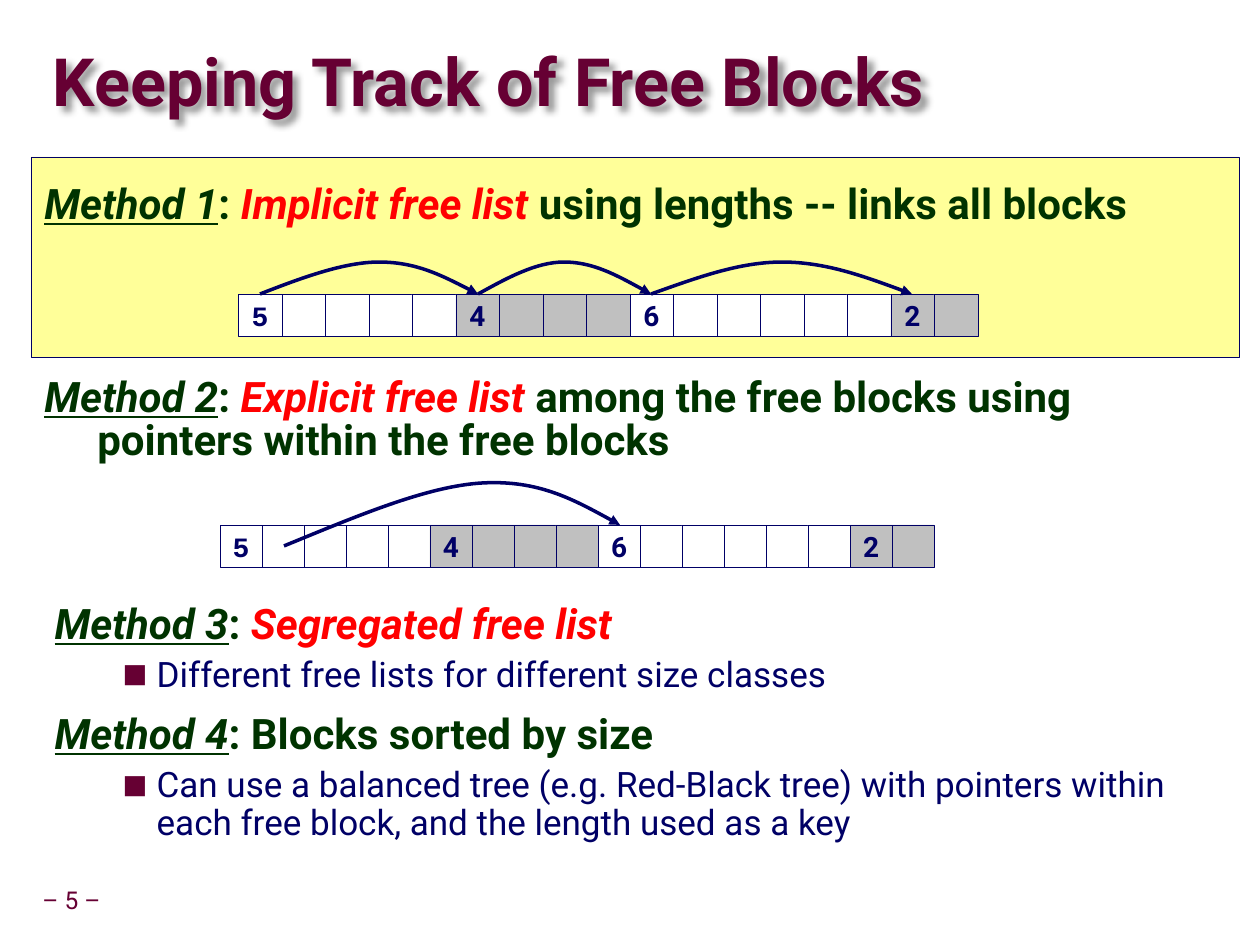
import pptx
import pptx.dml.color
import pptx.enum.dml
import pptx.enum.shapes
import pptx.enum.text
import pptx.oxml
import pptx.oxml.ns
import pptx.util

RGBColor = pptx.dml.color.RGBColor
MAROON = RGBColor(0x66, 0x00, 0x33)
NAVY = RGBColor(0x00, 0x00, 0x66)
GREEN = RGBColor(0x00, 0x33, 0x00)
RED = RGBColor(0xFF, 0x00, 0x00)
YELLOW = RGBColor(0xFF, 0xFF, 0x99)
GRAY = RGBColor(0xC0, 0xC0, 0xC0)
WHITE = RGBColor(0xFF, 0xFF, 0xFF)

PX = 914400 / 126
ALIGN = pptx.enum.text.PP_ALIGN
ANCHOR = pptx.enum.text.MSO_ANCHOR
AUTO_SIZE = pptx.enum.text.MSO_AUTO_SIZE
qn = pptx.oxml.ns.qn

# Run formats
HEADING = {"size": 24, "bold": True, "italic": False, "underline": False, "color": GREEN}
METHOD = HEADING | {"italic": True, "underline": True}
KEY = HEADING | {"italic": True, "color": RED}
DETAIL = {"size": 20, "bold": False, "color": NAVY}
TITLE = {"size": 38, "bold": True, "color": MAROON}
NUMBER = {"size": 14, "color": MAROON}
LABEL = {"size": 16, "bold": True, "color": NAVY}

# Paragraph formats
TOP_LEVEL = {"line_spacing": 0.85, "alignment": ALIGN.LEFT}
SUB_LEVEL = {"line_spacing": 0.9, "alignment": ALIGN.LEFT, "level": 1}
BULLET = ('<a:buClr><a:srgbClr val="660033"/></a:buClr>', '<a:buSzPct val="75000"/>',
          '<a:buFont typeface="Roboto"/>', '<a:buChar char="■"/>')
NO_BULLET = ("<a:buNone/>",)

# Memory blocks: label, cells, fill, font of the label
BLOCKS = [("5", 5, WHITE, "Courier New"), ("4", 4, GRAY, "Roboto"),
          ("6", 6, WHITE, "Roboto"), ("2", 2, GRAY, "Roboto")]


def element(xml):
    namespace = 'xmlns:a="http://schemas.openxmlformats.org/drawingml/2006/main"'
    end = xml.index(">")
    end -= xml[end - 1] == "/"
    return pptx.oxml.parse_xml(f"{xml[:end]} {namespace}{xml[end:]}")


def set_values(target, values):
    for name, value in values.items():
        setattr(target, name, value)


class SlideBuilder:
    def __init__(self, slide):
        self.slide = slide
        self.font = "Roboto"
        self.line_color = NAVY

    def emu(self, *lengths):
        return [round(length * PX) for length in lengths]

    def place(self, shape, box):
        set_values(shape, dict(zip(("left", "top", "width", "height"), self.emu(*box))))

    def frame(self, shape, anchor, wrap=True, inset=None):
        frame = shape.text_frame
        set_values(frame, {"word_wrap": wrap, "auto_size": AUTO_SIZE.NONE,
                           "vertical_anchor": anchor})
        if inset is not None:
            for side in ("left", "top", "right", "bottom"):
                setattr(frame, f"margin_{side}", self.emu(inset)[0])
        return frame

    def add_runs(self, paragraph, runs, values, before=0, font=None):
        set_values(paragraph, values | {"space_before": pptx.util.Pt(before)})
        for text, style in runs:
            run = paragraph.add_run()
            run.text = text
            style = dict(style)
            run.font.color.rgb = style.pop("color")
            style["size"] = pptx.util.Pt(style["size"])
            set_values(run.font, style | {"name": font or self.font})

    def indent(self, paragraph, margin, hanging, bullet):
        properties = paragraph._p.get_or_add_pPr()
        left, first = self.emu(margin, -hanging)
        properties.set("marL", str(left))
        properties.set("indent", str(first))
        for xml in bullet:
            properties.append(element(xml))

    def title(self, box, text):
        shape = self.slide.shapes.title
        self.place(shape, box)
        frame = self.frame(shape, ANCHOR.MIDDLE, inset=0)
        self.add_runs(frame.paragraphs[0], [(text, TITLE)],
                      {"line_spacing": 0.87, "alignment": ALIGN.LEFT})
        shape._element.spPr.append(element(
            '<a:effectLst><a:outerShdw blurRad="50800" dist="50800" dir="2700000">'
            '<a:srgbClr val="000000"><a:alpha val="40000"/></a:srgbClr>'
            '</a:outerShdw></a:effectLst>'))

    def heading(self, paragraph, runs, before=0):
        self.indent(paragraph, 53, 53, NO_BULLET)
        self.add_runs(paragraph, runs, TOP_LEVEL, before)

    def method(self, box, runs):
        shape = self.slide.shapes.add_textbox(*self.emu(*box))
        self.heading(self.frame(shape, ANCHOR.TOP).paragraphs[0], runs)

    def body(self, box, items):
        shape = self.slide.placeholders[1]
        self.place(shape, box)
        frame = self.frame(shape, ANCHOR.TOP)
        for index, (runs, detail) in enumerate(items):
            paragraph = frame.add_paragraph() if index else frame.paragraphs[0]
            self.heading(paragraph, runs, 12 if index else 0)
            paragraph = frame.add_paragraph()
            self.indent(paragraph, 102, 34, BULLET)
            self.add_runs(paragraph, [(detail, DETAIL)], SUB_LEVEL, 5)

    def number(self, box, text):
        shape = self.slide.shapes.add_textbox(*self.emu(*box))
        frame = self.frame(shape, ANCHOR.MIDDLE, wrap=False, inset=6)
        self.add_runs(frame.paragraphs[0], [(text, NUMBER)],
                      {"line_spacing": 0.9, "alignment": ALIGN.CENTER})

    def rectangle(self, box, fill):
        shape = self.slide.shapes.add_shape(
            pptx.enum.shapes.MSO_SHAPE.RECTANGLE, *self.emu(*box))
        shape.shadow.inherit = False
        shape.fill.solid()
        shape.fill.fore_color.rgb = fill
        shape.line.color.rgb = self.line_color
        shape.line.width = pptx.util.Pt(0.25)
        return shape

    def memory(self, left, top, width, height):
        total = sum(cells for _, cells, _, _ in BLOCKS)
        edges = [left + round(width * index / total) for index in range(total + 1)]
        position = 0
        for label, cells, fill, font in BLOCKS:
            for index in range(position, position + cells):
                box = (edges[index], top, edges[index + 1] - edges[index], height)
                shape = self.rectangle(box, fill)
                if index == position:
                    frame = self.frame(shape, ANCHOR.MIDDLE, wrap=False)
                    self.add_runs(frame.paragraphs[0], [(label, LABEL)],
                                  {"alignment": ALIGN.CENTER}, font=font)
            position += cells

    def arrow(self, xs, ys):
        points = list(zip(xs, ys))
        builder = self.slide.shapes.build_freeform(*points[0], scale=PX)
        builder.add_line_segments(points[1:], close=False)
        shape = builder.convert_to_shape()
        # Every three segments become one Bezier curve
        segments = list(shape._element.iter(qn("a:lnTo")))
        for start in range(0, len(segments), 3):
            curve, *others = segments[start:start + 3]
            curve.tag = qn("a:cubicBezTo")
            for other in others:
                curve.append(other[0])
                other.getparent().remove(other)
        shape.shadow.inherit = False
        shape.fill.background()
        shape.line.color.rgb = self.line_color
        shape.line.width = pptx.util.Pt(2)
        shape.line._get_or_add_ln().append(element('<a:tailEnd type="triangle"/>'))


def main():
    presentation = pptx.Presentation()
    presentation.slide_width = pptx.util.Inches(10)
    presentation.slide_height = pptx.util.Inches(7.5)
    builder = SlideBuilder(presentation.slides.add_slide(presentation.slide_layouts[1]))

    # Title and page number
    builder.title((53, 46, 1008, 80), "Keeping Track of Free Blocks")
    builder.number((30, 882, 83, 39), "– 5 –")

    # Method 2: explicit list
    builder.memory(220, 525, 714, 42)
    builder.arrow((284, 355, 427, 483, 539, 580, 620), (546, 517, 486, 483, 480, 503, 525))
    builder.method((32, 372, 1145, 205), [
        ("Method 2", METHOD), (": ", HEADING), ("Explicit free list", KEY),
        (" among the free blocks using pointers within the free blocks", HEADING)])

    # Method 1: highlighted implicit list
    panel = builder.rectangle((31, 157, 1208, 200), YELLOW)
    panel.line.dash_style = pptx.enum.dml.MSO_LINE.ROUND_DOT
    builder.memory(238, 294, 740, 42)
    for xs in ((260, 301, 344, 379, 416, 447, 478),
               (478, 507, 536, 564, 593, 622, 651),
               (651, 696, 739, 782, 825, 869, 912)):
        builder.arrow(xs, (294, 278, 262, 262, 262, 278, 294))
    builder.method((32, 179, 1186, 157), [
        ("Method 1", METHOD), (": ", HEADING), ("Implicit free list ", KEY),
        ("using lengths -- links all blocks", HEADING)])

    # Methods 3 and 4
    builder.body((42, 599, 1145, 273), [
        ([("Method 3", METHOD), (": ", HEADING), ("Segregated free list", KEY)],
         "Different free lists for different size classes"),
        ([("Method 4", METHOD), (": Blocks sorted by size", HEADING)],
         "Can use a balanced tree (e.g. Red-Black tree) with pointers within "
         "each free block, and the length used as a key")])

    presentation.save("out.pptx")


if __name__ == "__main__":
    main()
